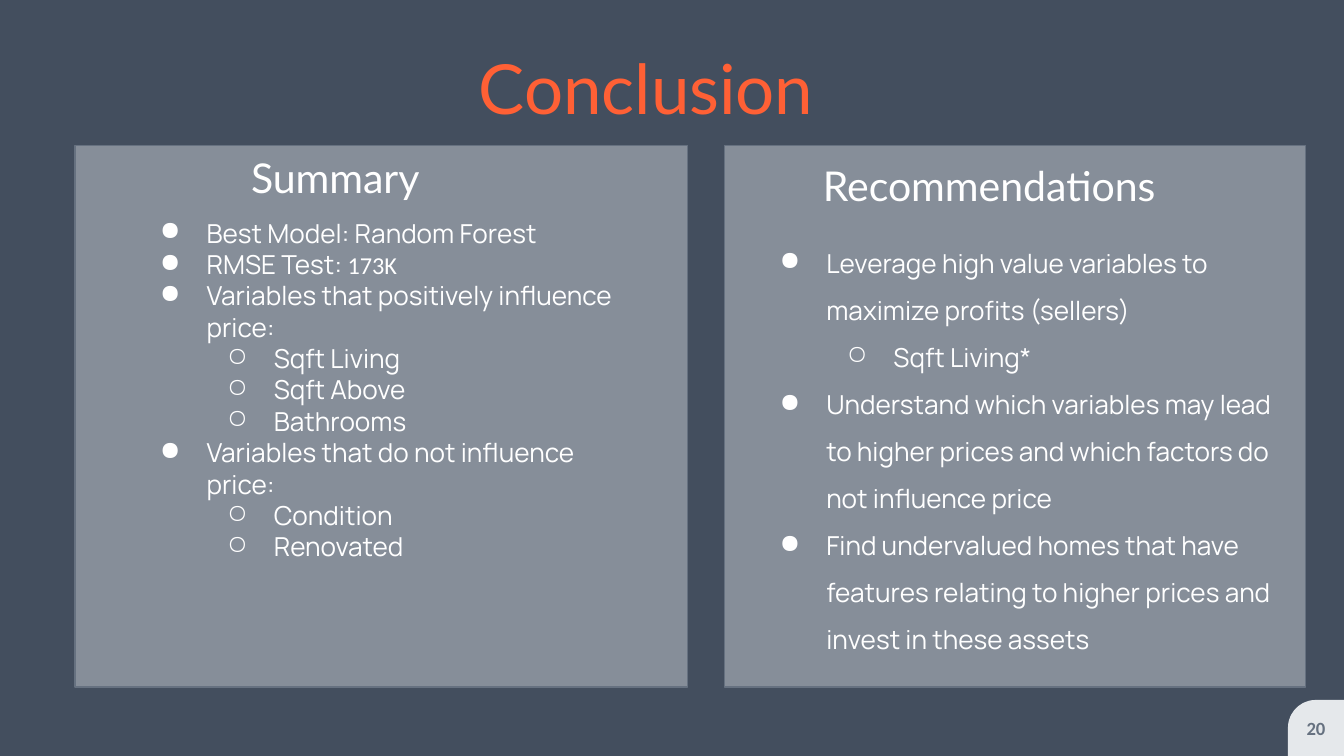
from lxml import etree
from pptx import Presentation
from pptx.dml.color import RGBColor
from pptx.enum import shapes, text
from pptx.oxml import ns
from pptx.util import Pt

WIDTH, HEIGHT = 720, 405
NAVY, PALE, GREY, ORANGE, WHITE = "142236", "E5E8EB", "667180", "FF6035", "FFFFFF"
BULLETS = "●○"

SUMMARY = [
    (0, "Best Model: Random Forest"),
    (0, "RMSE Test: ", "173K"),
    (0, "Variables that positively influence price:"),
    (1, "Sqft Living"),
    (1, "Sqft Above"),
    (1, "Bathrooms"),
    (0, "Variables that do not influence price:"),
    (1, "Condition"),
    (1, "Renovated"),
]
RECOMMENDATIONS = [
    (0, "Leverage high value variables to maximize profits (sellers)"),
    (1, "Sqft Living*"),
    (0, "Understand which variables may lead to higher prices and which factors do not influence price"),
    (0, "Find undervalued homes that have features relating to higher prices and invest in these assets"),
]


def color(value):
    return RGBColor.from_string(value)


def add_block(slide, box, fill, kind=shapes.MSO_SHAPE.RECTANGLE, opacity=100, line=None):
    shape = slide.shapes.add_shape(kind, *map(Pt, box))
    shape.shadow.inherit = False
    shape.fill.solid()
    shape.fill.fore_color.rgb = color(fill)
    if opacity < 100:
        solid = shape._element.spPr.find(ns.qn("a:solidFill"))
        etree.SubElement(solid[0], ns.qn("a:alpha"), val=str(opacity * 1000))
    if line:
        shape.line.color.rgb = color(line)
        shape.line.width = Pt(0.75)
    else:
        shape.line.fill.background()
    return shape


def add_frame(slide, box, inset=0, anchor=text.MSO_ANCHOR.TOP):
    frame = slide.shapes.add_textbox(*map(Pt, box)).text_frame
    frame.word_wrap = True
    frame.vertical_anchor = anchor
    frame.margin_left = frame.margin_right = Pt(inset)
    frame.margin_top = frame.margin_bottom = Pt(inset)
    return frame


def add_text(paragraph, words, size=14, font="Manrope", fill=WHITE, bold=False):
    run = paragraph.add_run()
    run.text = words
    run.font.size = Pt(size)
    run.font.name = font
    run.font.color.rgb = color(fill)
    run.font.bold = bold


def add_heading(slide, box, words, **style):
    frame = add_frame(slide, box, anchor=text.MSO_ANCHOR.BOTTOM)
    add_text(frame.paragraphs[0], words, font="Lato", **style)


def add_bullet(paragraph, level):
    paragraph.level = level
    properties = paragraph._p.get_or_add_pPr()
    properties.set("marL", str(Pt(36 * (level + 1))))
    properties.set("indent", str(-Pt(25)))
    bullet_color = etree.SubElement(properties, ns.qn("a:buClr"))
    etree.SubElement(bullet_color, ns.qn("a:srgbClr"), val=WHITE)
    etree.SubElement(properties, ns.qn("a:buChar"), char=BULLETS[level])


def add_list(slide, box, items, spacing):
    frame = add_frame(slide, box, inset=7.2)
    for index, (level, words, *figures) in enumerate(items):
        paragraph = frame.paragraphs[0] if index == 0 else frame.add_paragraph()
        paragraph.line_spacing = spacing
        add_bullet(paragraph, level)
        add_text(paragraph, words)
        for figure in figures:
            add_text(paragraph, figure, size=13, font="Calibri")


def add_panel(slide, box, heading, heading_at, items, list_at, spacing=1.0):
    """Draw a panel; heading_at and list_at are relative to its corner."""
    left, top = box[:2]

    def inside(x, y, width, height):
        return left + x, top + y, width, height

    add_block(slide, box, PALE, opacity=42, line=GREY)
    add_list(slide, inside(*list_at), items, spacing)
    add_heading(slide, inside(*heading_at), heading, size=22)


def add_page_number(slide, box, number):
    corner = add_block(slide, box, PALE, kind=shapes.MSO_SHAPE.ROUND_1_RECTANGLE)
    corner.adjustments[0] = 0.5
    corner._element.spPr.find(ns.qn("a:xfrm")).set("flipH", "1")
    paragraph = add_frame(slide, box, anchor=text.MSO_ANCHOR.MIDDLE).paragraphs[0]
    paragraph.alignment = text.PP_ALIGN.CENTER
    add_text(paragraph, number, size=10, font="Calibri", fill=GREY, bold=True)


def main():
    presentation = Presentation()
    presentation.slide_width, presentation.slide_height = Pt(WIDTH), Pt(HEIGHT)
    slide = presentation.slides.add_slide(presentation.slide_layouts[6])

    # Backdrop, page number and title
    add_block(slide, (0, 0, WIDTH, HEIGHT), NAVY, opacity=80)
    add_page_number(slide, (WIDTH - 30, HEIGHT - 30, 30, 30), "20")
    add_heading(slide, (256.5, 16, 366.5, 53), "Conclusion", size=37, fill=ORANGE)

    # Two panels
    add_panel(slide, (40.2, 78, 328.2, 290), "Summary", (94.3, 0, 139, 30),
              SUMMARY, (27.4, 31, 273.6, 218))
    add_panel(slide, (388.3, 78, 311, 290), "Recommendations", (52.5, 4.3, 258.5, 30),
              RECOMMENDATIONS, (11.3, 38.8, 300.2, 235.5), spacing=1.5)

    presentation.save("out.pptx")


if __name__ == "__main__":
    main()
